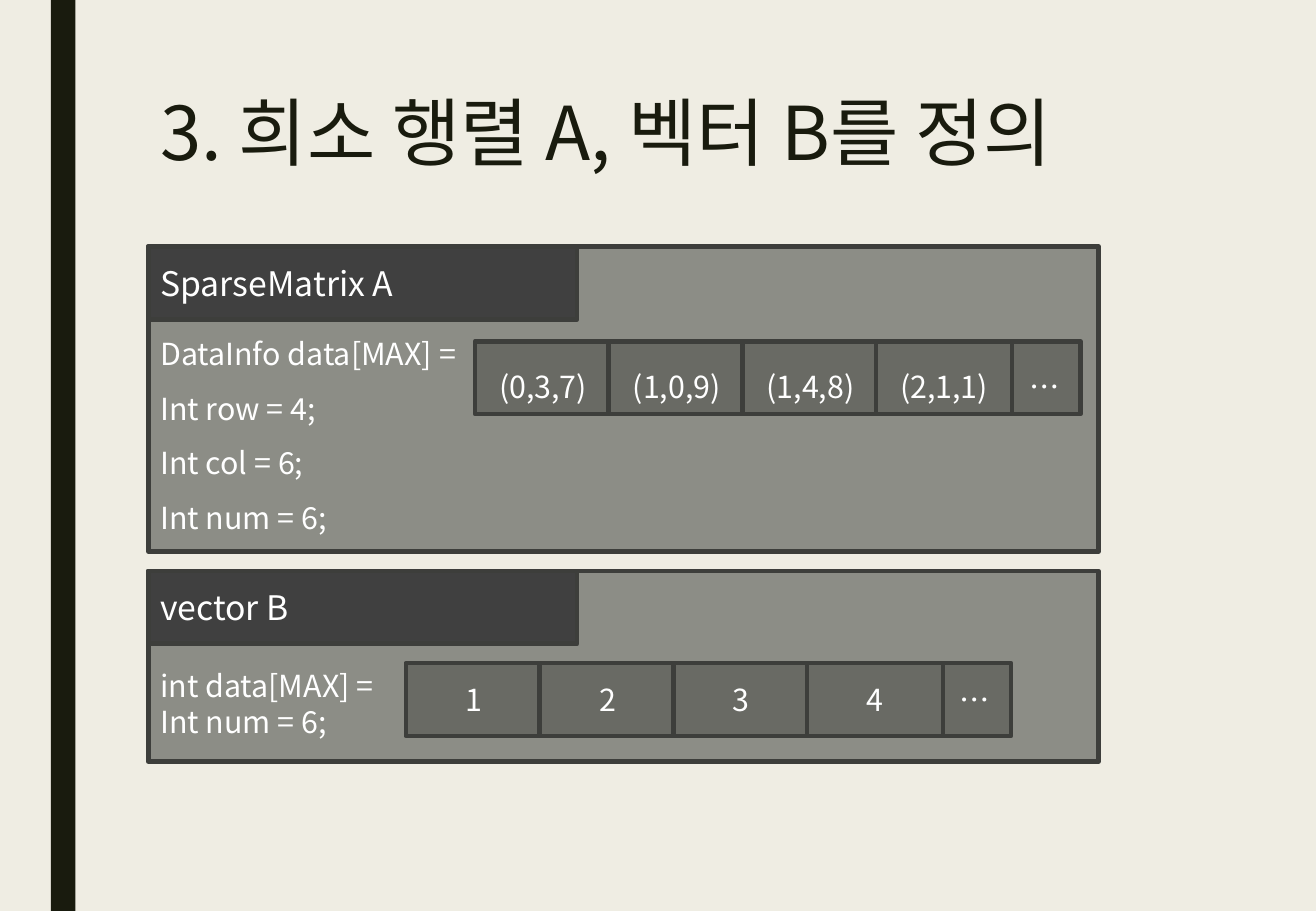
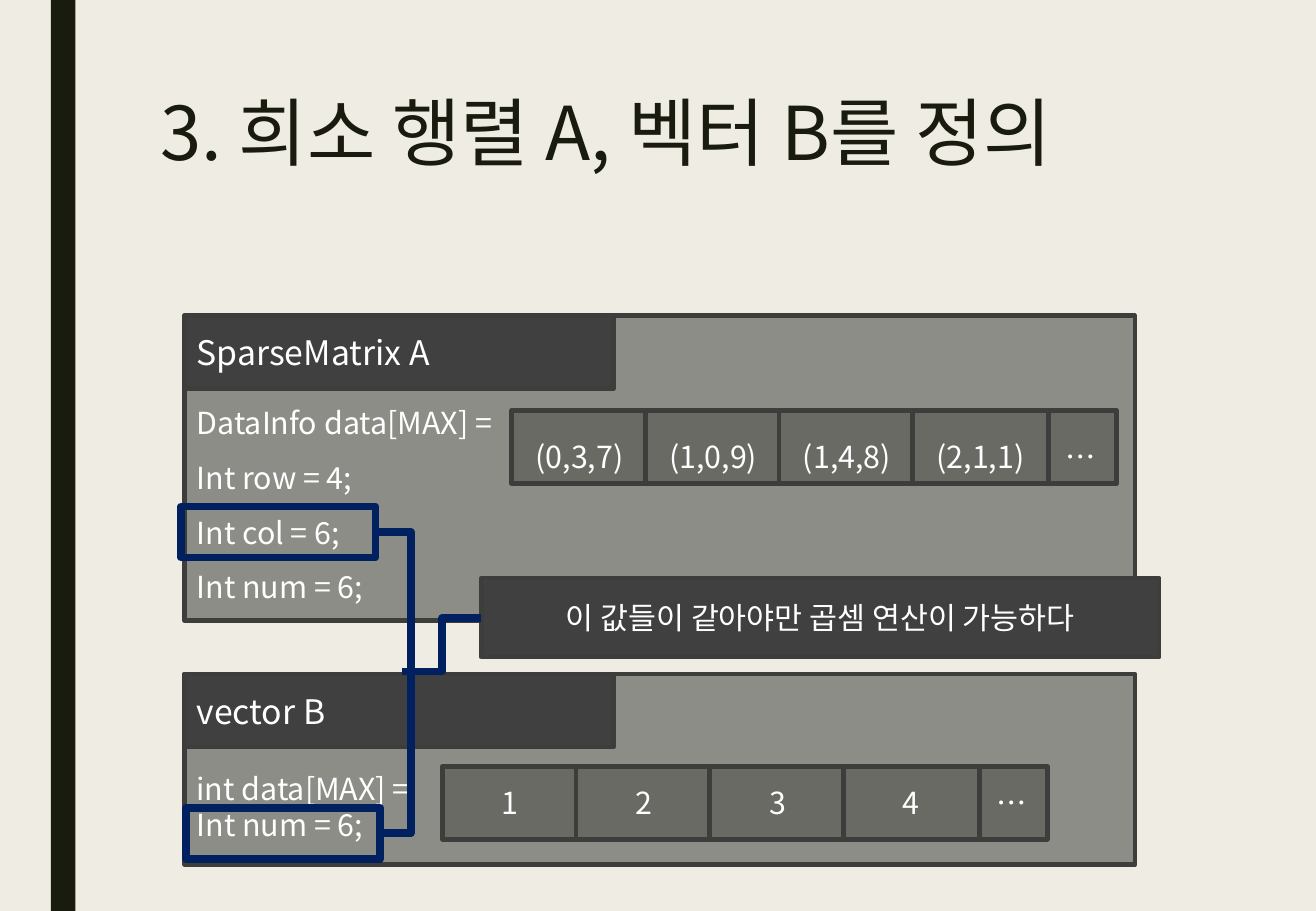
import pptx
import pptx.dml.color
import pptx.enum.shapes
import pptx.enum.text
import pptx.oxml
import pptx.oxml.ns
import pptx.util
from pptx.util import Inches

FONT = "Noto Sans CJK KR"
BACKGROUND, INK, WHITE = "EFEDE3", "191B0E", "FFFFFF"
PANEL, HEADER, CELL, OUTLINE, MARK = "8C8D86", "404040", "696A64", "3D3E3B", "002060"
TITLE = "3. 희소 행렬 A, 벡터 B를 정의"

ALIGN = pptx.enum.text.PP_ALIGN
ANCHOR = pptx.enum.text.MSO_ANCHOR
RECTANGLE = pptx.enum.shapes.MSO_SHAPE.RECTANGLE
ELBOW = pptx.enum.shapes.MSO_CONNECTOR.ELBOW

PANEL_WIDTH, HEADER_WIDTH, BOX_HEIGHT = 7.82, 3.53, 0.6
CELL_WIDTH, CELL_STEP = 1.12, 1.1
STRIP_INDENT, STRIP_WIDTH = 0.21, 4.77

MATRIX = {
    "name": "SparseMatrix A",
    "fields": ["DataInfo data[MAX] =", "Int row = 4;", "Int col = 6;", "Int num = 6;"],
    "values": ["(0,3,7)", "(1,0,9)", "(1,4,8)", "(2,1,1)"],
    "height": 2.51, "text_top": 0.58, "spacing": 1.5, "array_at": (2.69, 0.78),
}
VECTOR = {
    "name": "vector B",
    "fields": ["int data[MAX] =", "Int num = 6;"],
    "values": ["1", "2", "3", "4"],
    "height": 1.57, "text_top": 0.79, "spacing": 1.0, "array_at": (2.12, 0.76),
}


def color(hex_text):
    return pptx.dml.color.RGBColor.from_string(hex_text)


def set_all(target, values):
    for name, value in values.items():
        setattr(target, name, value)


def write(shape, lines, size=18, ink=WHITE, align=ALIGN.LEFT, spacing=1.0, **frame):
    """Fill a shape with one paragraph per line, in the font for Latin and Hangul."""
    text_frame = shape.text_frame
    set_all(text_frame, {"word_wrap": True, "vertical_anchor": ANCHOR.MIDDLE, **frame})
    text_frame.text = "\n".join(lines)
    for paragraph in text_frame.paragraphs:
        set_all(paragraph, {"alignment": align, "line_spacing": spacing})
        for run in paragraph.runs:
            set_all(run.font, {"name": FONT, "size": pptx.util.Pt(size)})
            run.font.color.rgb = color(ink)
    for latin in list(shape.element.iter(pptx.oxml.ns.qn("a:latin"))):
        east_asian = pptx.oxml.parse_xml(
            f'<a:ea {pptx.oxml.ns.nsdecls("a")} typeface="{FONT}"/>')
        latin.addnext(east_asian)


def add_box(slide, left, top, width, height, fill=None, line=OUTLINE, weight=2.75):
    shape = slide.shapes.add_shape(
        RECTANGLE, Inches(left), Inches(top), Inches(width), Inches(height))
    shape.shadow.inherit = False
    if fill:
        shape.fill.solid()
        shape.fill.fore_color.rgb = color(fill)
    else:
        shape.fill.background()
    if line:
        shape.line.color.rgb = color(line)
        shape.line.width = pptx.util.Pt(weight)
    else:
        shape.line.fill.background()
    return shape


def add_elbow(slide, start, end, bend_x):
    """Join two points by a line whose upright part stands at bend_x."""
    connector = slide.shapes.add_connector(ELBOW, *map(Inches, (*start, *end)))
    connector.line.color.rgb = color(MARK)
    connector.line.width = pptx.util.Pt(4.5)
    namespace = pptx.oxml.ns.nsdecls("a")
    ratio = round((bend_x - start[0]) / (end[0] - start[0]) * 100000)
    geometry = connector.element.spPr.find(pptx.oxml.ns.qn("a:prstGeom"))
    for old in list(geometry):
        geometry.remove(old)
    geometry.append(pptx.oxml.parse_xml(
        f'<a:avLst {namespace}><a:gd name="adj1" fmla="val {ratio}"/></a:avLst>'))
    connector.element.spPr.append(pptx.oxml.parse_xml(f"<a:effectLst {namespace}/>"))


def add_array(slide, left, top, values, spacing):
    """Draw the value cells on a longer strip that ends in an ellipsis."""
    strip = add_box(slide, left + STRIP_INDENT, top, STRIP_WIDTH, BOX_HEIGHT, CELL)
    write(strip, ["…"], align=ALIGN.RIGHT, spacing=spacing, margin_right=Inches(0.17))
    for index, value in enumerate(values):
        cell = add_box(slide, left + index * CELL_STEP, top, CELL_WIDTH, BOX_HEIGHT, CELL)
        write(cell, [value], align=ALIGN.CENTER, spacing=spacing)


def add_structure(slide, left, top, structure):
    """Draw a panel with its name, its fields and its array."""
    spacing = structure["spacing"]
    panel = add_box(slide, left, top, PANEL_WIDTH, structure["height"], PANEL)
    write(panel, structure["fields"], spacing=spacing, vertical_anchor=ANCHOR.TOP,
          margin_top=Inches(structure["text_top"]))
    write(add_box(slide, left, top, HEADER_WIDTH, BOX_HEIGHT, HEADER),
          [structure["name"]], size=20)
    array_left, array_top = structure["array_at"]
    add_array(slide, left + array_left, top + array_top, structure["values"], spacing)


def set_master(presentation, layout):
    """Put the background, the side band and the title place on master and layout."""
    master = presentation.slide_master
    master.background.fill.solid()
    master.background.fill.fore_color.rgb = color(BACKGROUND)
    set_all(layout.placeholders[0], {"left": Inches(1.22), "top": Inches(0.75),
                                     "width": Inches(8.53), "height": Inches(1.62)})


def add_slide(presentation, layout, left, matrix_top, vector_top):
    slide = presentation.slides.add_slide(layout)
    write(slide.shapes.title, [TITLE], size=44, ink=INK, spacing=0.89,
          vertical_anchor=ANCHOR.TOP, auto_size=pptx.enum.text.MSO_AUTO_SIZE.NONE)
    add_structure(slide, left, matrix_top, MATRIX)
    add_structure(slide, left, vector_top, VECTOR)
    return slide


def add_band_to_master(presentation, slide):
    """Draw the side band and hand it to the master, behind all slides."""
    band = add_box(slide, 0.42, 0, 0.2, 7.5, INK, line=None)
    presentation.slide_master.shapes.element.append(band.element)


def add_size_rule(slide):
    """Mark the two sizes that must agree and say why."""
    for left, top in ((1.49, 4.17), (1.53, 6.65)):
        add_box(slide, left, top, 1.6, 0.42, line=MARK, weight=4.5)
    add_elbow(slide, (3.09, 4.38), (3.13, 6.86), 3.38)
    note = add_box(slide, 3.96, 4.76, 5.58, 0.65, HEADER)
    write(note, ["이 값들이 같아야만 곱셈 연산이 가능하다"], align=ALIGN.CENTER)
    add_elbow(slide, (3.31, 5.53), (3.96, 5.09), 3.64)


def main():
    presentation = pptx.Presentation()
    set_all(presentation, {"slide_width": Inches(10.83), "slide_height": Inches(7.5)})
    layout = presentation.slide_layouts.get_by_name("Title Only")
    set_master(presentation, layout)
    definition = add_slide(presentation, layout, 1.22, 2.03, 4.7)
    add_band_to_master(presentation, definition)
    add_size_rule(add_slide(presentation, layout, 1.52, 2.6, 5.55))
    presentation.save("out.pptx")


if __name__ == "__main__":
    main()
